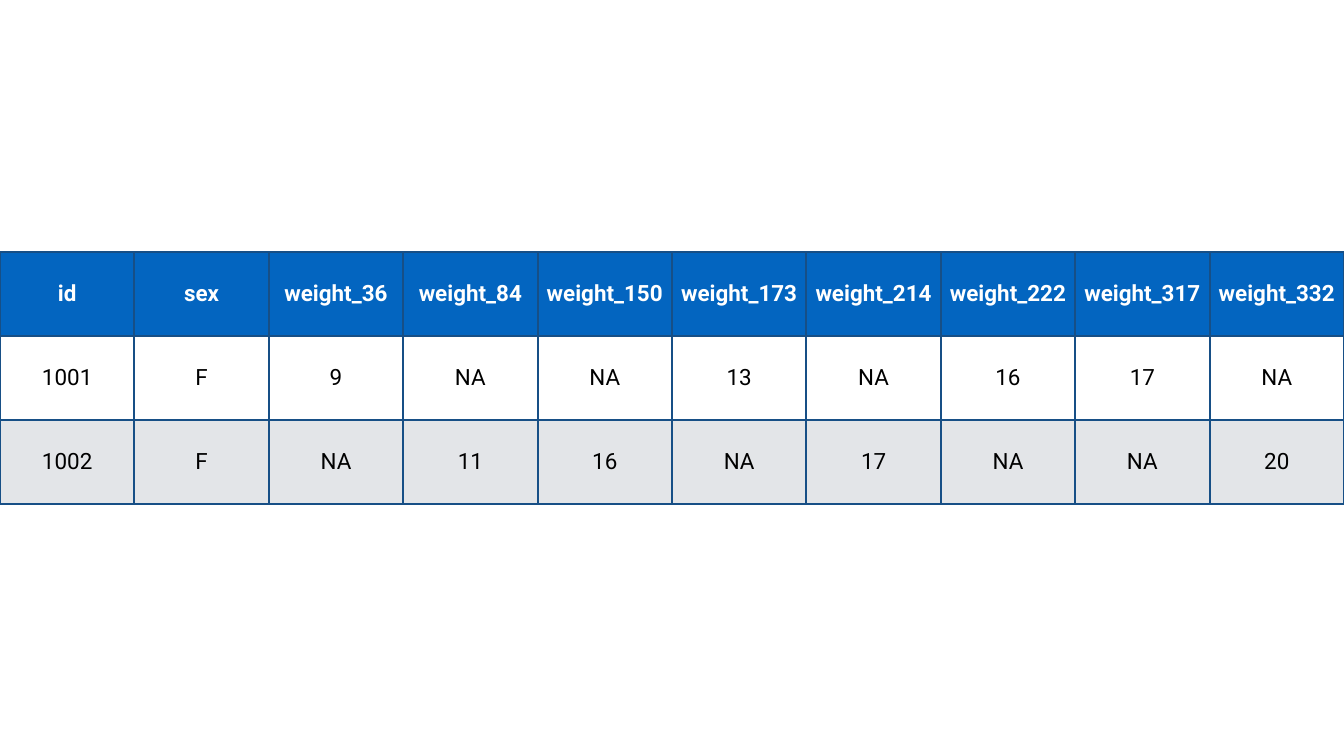
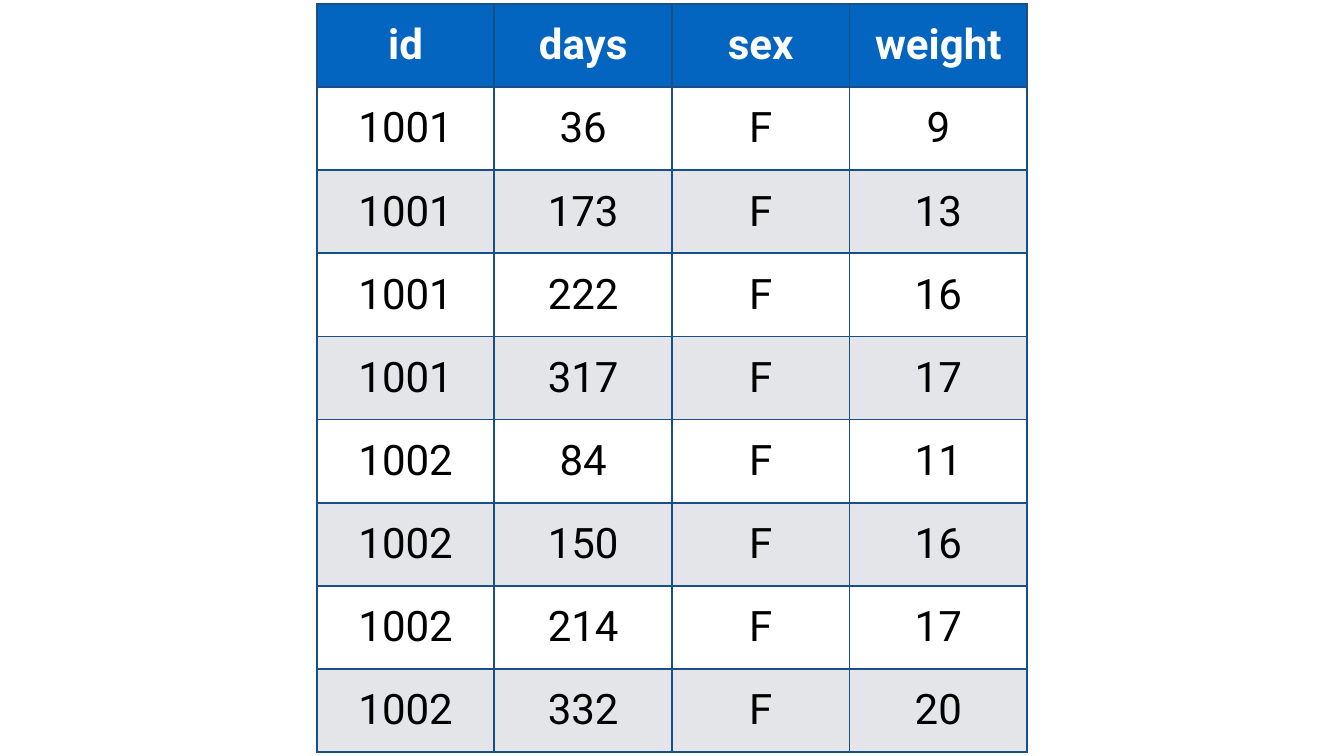
from lxml import etree
from pptx import Presentation
from pptx.dml.color import RGBColor
from pptx.enum.text import MSO_ANCHOR, PP_ALIGN
from pptx.oxml.ns import qn
from pptx.util import Cm, Pt

CENTER = PP_ALIGN.CENTER
MIDDLE = MSO_ANCHOR.MIDDLE

WHITE = RGBColor(0xFF, 0xFF, 0xFF)
BLACK = RGBColor(0x00, 0x00, 0x00)
HEADER_BLUE = RGBColor(0x03, 0x65, 0xC0)
BAND_GRAY = RGBColor(0xE3, 0xE5, 0xE8)
GRID_BLUE = RGBColor(0x17, 0x4F, 0x86)

FONT = "Roboto"
SLIDE_WIDTH = Cm(67.73)
SLIDE_HEIGHT = Cm(38.1)
CELL_MARGIN = Cm(0.15)
GRID_WIDTH = Pt(3)

WIDE_DAYS = (36, 84, 150, 173, 214, 222, 317, 332)
WIDE_ROWS = [
    ["id", "sex", *(f"weight_{day}" for day in WIDE_DAYS)],
    ["1001", "F", "9", "NA", "NA", "13", "NA", "16", "17", "NA"],
    ["1002", "F", "NA", "11", "16", "NA", "17", "NA", "NA", "20"],
]
LONG_ROWS = [
    ["id", "days", "sex", "weight"],
    ["1001", "36", "F", "9"],
    ["1001", "173", "F", "13"],
    ["1001", "222", "F", "16"],
    ["1001", "317", "F", "17"],
    ["1002", "84", "F", "11"],
    ["1002", "150", "F", "16"],
    ["1002", "214", "F", "17"],
    ["1002", "332", "F", "20"],
]


class Deck:
    def __init__(self):
        self.presentation = Presentation()
        self.presentation.slide_width = SLIDE_WIDTH
        self.presentation.slide_height = SLIDE_HEIGHT
        self.slide = None

    def add_slide(self):
        blank = self.presentation.slide_layouts[6]
        self.slide = self.presentation.slides.add_slide(blank)
        background = self.slide.background.fill
        background.solid()
        background.fore_color.rgb = WHITE

    def add_centered_table(self, rows, column_width, row_height, font_size):
        width = column_width * len(rows[0])
        height = row_height * len(rows)
        left = (SLIDE_WIDTH - width) // 2
        top = (SLIDE_HEIGHT - height) // 2
        table = self.slide.shapes.add_table(
            len(rows), len(rows[0]), left, top, width, height
        ).table
        for column in table.columns:
            column.width = column_width
        for row_index, row in enumerate(rows):
            table.rows[row_index].height = row_height
            is_header = row_index == 0
            if is_header:
                fill_color = HEADER_BLUE
            else:
                fill_color = WHITE if row_index % 2 else BAND_GRAY
            for column_index, value in enumerate(row):
                cell = table.cell(row_index, column_index)
                self.draw_grid(cell)
                cell.fill.solid()
                cell.fill.fore_color.rgb = fill_color
                self.write_cell(cell, value, font_size, is_header)

    def write_cell(self, cell, value, font_size, is_header):
        cell.vertical_anchor = MIDDLE
        cell.margin_left = cell.margin_right = CELL_MARGIN
        cell.margin_top = cell.margin_bottom = CELL_MARGIN
        paragraph = cell.text_frame.paragraphs[0]
        paragraph.alignment = CENTER
        run = paragraph.add_run()
        run.text = value
        run.font.name = FONT
        run.font.size = font_size
        run.font.bold = is_header
        run.font.color.rgb = WHITE if is_header else BLACK

    def draw_grid(self, cell):
        properties = cell._tc.get_or_add_tcPr()
        for side in ("a:lnL", "a:lnR", "a:lnT", "a:lnB"):
            line = etree.SubElement(properties, qn(side), w=str(GRID_WIDTH))
            fill = etree.SubElement(line, qn("a:solidFill"))
            etree.SubElement(fill, qn("a:srgbClr"), val=str(GRID_BLUE))


def main():
    deck = Deck()
    deck.add_slide()
    deck.add_centered_table(WIDE_ROWS, SLIDE_WIDTH // 10, Cm(4.23), Pt(32))
    deck.add_slide()
    deck.add_centered_table(LONG_ROWS, Cm(8.95), Cm(4.19), Pt(60))
    deck.presentation.save("out.pptx")


if __name__ == "__main__":
    main()
